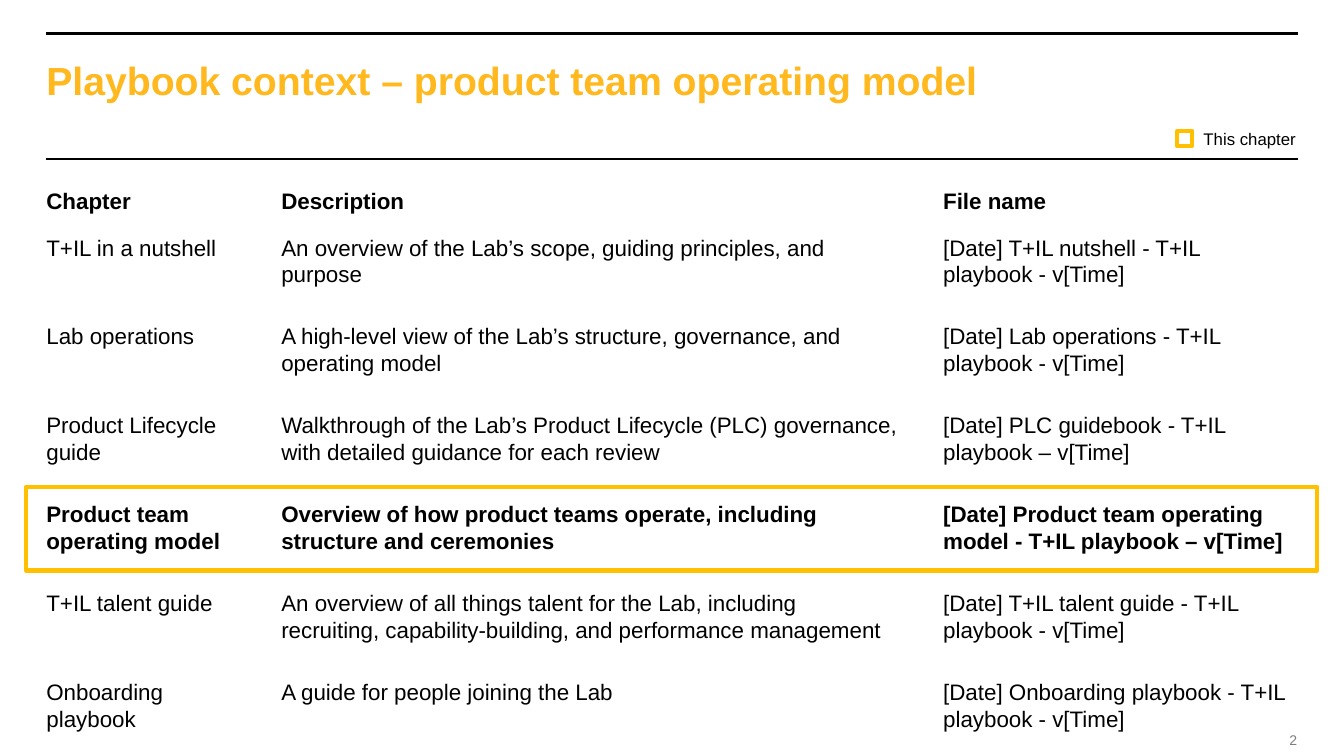
import pptx
import pptx.dml.color
import pptx.enum.shapes
import pptx.enum.text
import pptx.util
import lxml.etree
from pptx.util import Cm

COLORS = {"black": "000000", "title": "FFB81E", "highlight": "FFC000", "number": "7F7F7F"}
LEFT, RIGHT = 1.17, 32.72


def rgb(name):
    return pptx.dml.color.RGBColor.from_string(COLORS[name])


def add_text(text, x, y, w, h, size=16, color="black", bold=False):
    tf = s.shapes.add_textbox(Cm(x), Cm(y), Cm(w), Cm(h)).text_frame
    tf.margin_left = tf.margin_right = tf.margin_top = tf.margin_bottom = 0
    tf.word_wrap = True
    tf.text = text
    font = tf.paragraphs[0].runs[0].font
    font.name, font.size, font.bold = "Arial", pptx.util.Pt(size), bold
    font.color.rgb = rgb(color)
    return tf


prs = pptx.Presentation()
prs.slide_width, prs.slide_height = Cm(33.87), Cm(19.05)
s = prs.slides.add_slide(prs.slide_layouts[6])

# Header rules
for y, weight in [(0.84, 2.5), (4.01, 1)]:
    line = s.shapes.add_connector(
        pptx.enum.shapes.MSO_CONNECTOR.STRAIGHT, Cm(LEFT), Cm(y), Cm(RIGHT), Cm(y))
    line.line.color.rgb = rgb("black")
    line.line.width = pptx.util.Pt(weight)
    lxml.etree.SubElement(line._element.spPr, pptx.oxml.ns.qn("a:effectLst"))

# Highlight frame around the current chapter, and its legend key
for x, y, w, h in [(0.66, 12.27, 32.54, 2.11), (29.67, 3.3, 0.38, 0.38)]:
    sp = s.shapes.add_shape(
        pptx.enum.shapes.MSO_SHAPE.RECTANGLE, Cm(x), Cm(y), Cm(w), Cm(h))
    sp.shadow.inherit = False
    sp.fill.background()
    sp.line.color.rgb = rgb("highlight")
    sp.line.width = pptx.util.Pt(3)

# Title, legend label and slide number
add_text("Playbook context – product team operating model",
         LEFT, 1.42, 27.46, 1.19, size=28, color="title", bold=True)
add_text("This chapter", 30.33, 3.25, 2.57, 0.51, size=12)
tf = add_text("2", 32.26, 18.42, 0.43, 0.43, size=10, color="number")
tf.word_wrap = False
tf.vertical_anchor = pptx.enum.text.MSO_ANCHOR.MIDDLE
tf.paragraphs[0].alignment = pptx.enum.text.PP_ALIGN.RIGHT

# Chapter overview: one heading row, then equally spaced chapters
COLUMNS = [(LEFT, 5.23), (7.09, 15.57), (23.77, 8.86)]
HEADINGS = ["Chapter", "Description", "File name"]
CHAPTERS = [
    ("T+IL in a nutshell",
     "An overview of the Lab’s scope, guiding principles, and purpose",
     "[Date] T+IL nutshell - T+IL playbook - v[Time]"),
    ("Lab operations",
     "A high-level view of the Lab’s structure, governance, and operating model",
     "[Date] Lab operations - T+IL playbook - v[Time]"),
    ("Product Lifecycle guide",
     "Walkthrough of the Lab’s Product Lifecycle (PLC) governance, "
     "with detailed guidance for each review",
     "[Date] PLC guidebook - T+IL playbook – v[Time]"),
    ("Product team operating model",
     "Overview of how product teams operate, including structure and ceremonies",
     "[Date] Product team operating model - T+IL playbook – v[Time]"),
    ("T+IL talent guide",
     "An overview of all things talent for the Lab, including recruiting, "
     "capability-building, and performance management",
     "[Date] T+IL talent guide - T+IL playbook - v[Time]"),
    ("Onboarding playbook",
     "A guide for people joining the Lab",
     "[Date] Onboarding playbook - T+IL playbook - v[Time]"),
]
CURRENT = "Product team operating model"
FIRST_ROW, ROW_PITCH = 5.89, 2.24

for (x, w), heading in zip(COLUMNS, HEADINGS):
    add_text(heading, x, 4.72, w, 0.69, bold=True)
for i, chapter in enumerate(CHAPTERS):
    for (x, w), text in zip(COLUMNS, chapter):
        add_text(text, x, FIRST_ROW + i * ROW_PITCH, w, 1.37, bold=chapter[0] == CURRENT)

prs.save("out.pptx")
